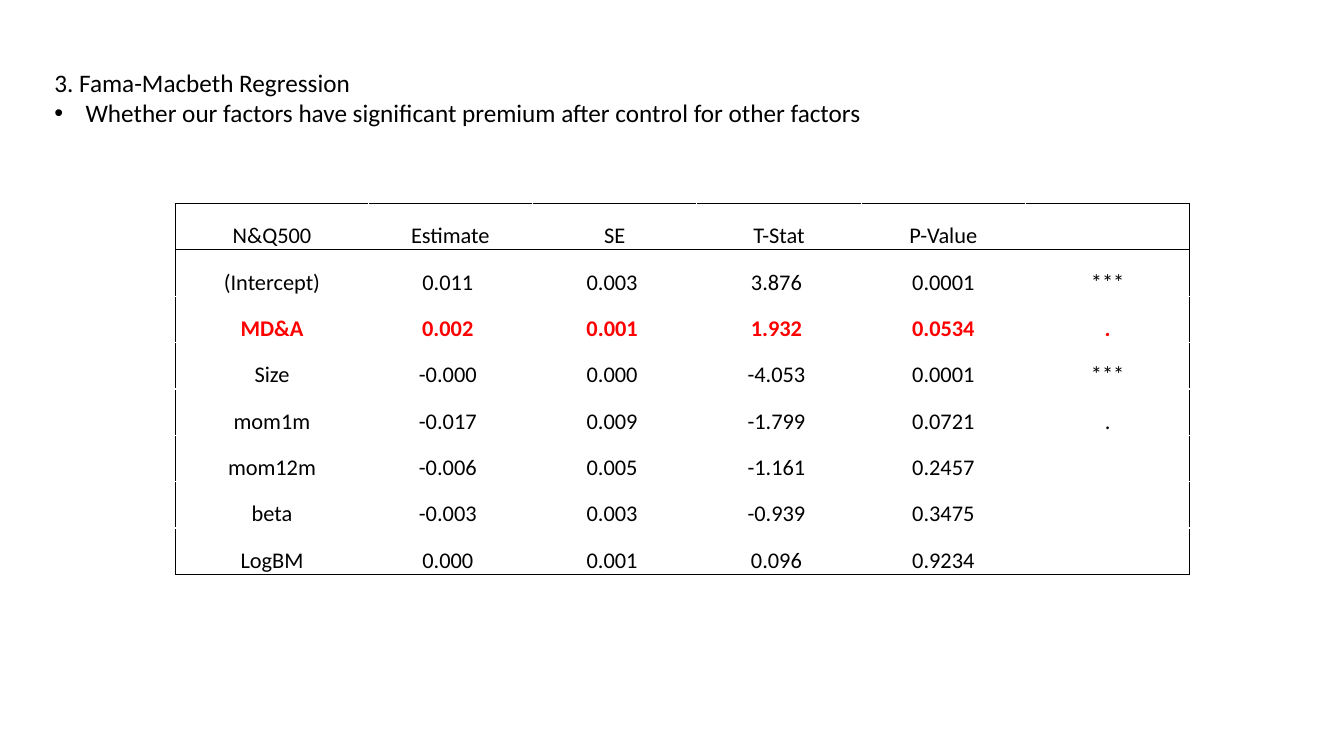
from dataclasses import dataclass

from lxml.etree import SubElement
from pptx import Presentation
from pptx.dml.color import RGBColor
from pptx.enum.text import MSO_ANCHOR as Anchor, PP_ALIGN as Align
from pptx.oxml.ns import qn
from pptx.util import Inches, Pt

BLACK = RGBColor(0x00, 0x00, 0x00)
RED = RGBColor(0xFF, 0x00, 0x00)
WHITE = RGBColor(0xFF, 0xFF, 0xFF)

# Grid units: one value column and one table row
COLUMN = Inches(1.63)
ROW = Inches(0.46)
LABEL_COLUMNS = 1.17


@dataclass
class Area:
    left: float
    top: float
    width: float
    height: float

    def lengths(self) -> tuple[int, int, int, int]:
        return (int(self.left * COLUMN), int(self.top * ROW),
                int(self.width * COLUMN), int(self.height * ROW))


@dataclass
class Factor:
    name: str
    estimate: str
    error: str
    t_stat: str
    p_value: str
    stars: str = ""
    highlighted: bool = False

    def texts(self) -> list[str]:
        # The space after each three-decimal number stands in for a minus sign
        padded = [f"{number} " for number in (self.estimate, self.error, self.t_stat)]
        return [self.name, *padded, self.p_value, self.stars]


HEADERS = ["N&Q500", "Estimate", "SE", "T-Stat", "P-Value", ""]
FACTORS = [
    Factor("(Intercept)", "0.011", "0.003", "3.876", "0.0001", "***"),
    Factor("MD&A", "0.002", "0.001", "1.932", "0.0534", ".", highlighted=True),
    Factor("Size", "-0.000", "0.000", "-4.053", "0.0001", "***"),
    Factor("mom1m", "-0.017", "0.009", "-1.799", "0.0721", "."),
    Factor("mom12m", "-0.006", "0.005", "-1.161", "0.2457"),
    Factor("beta", "-0.003", "0.003", "-0.939", "0.3475"),
    Factor("LogBM", "0.000", "0.001", "0.096", "0.9234"),
]
HEADING_AREA = Area(0.27, 1.35, 5.54, 1.54)
TABLE_AREA = Area(1.07, 4.39, LABEL_COLUMNS + len(HEADERS) - 1, len(FACTORS) + 1)


def set_font(para, size: int, color: RGBColor = BLACK, bold: bool = False) -> None:
    para.font.name = "Calibri"
    para.font.size = Pt(size)
    para.font.bold = bold
    para.font.color.rgb = color


def add_bullet(para) -> None:
    properties = para._p.get_or_add_pPr()
    properties.set("marL", str(Inches(0.31)))
    properties.set("indent", str(-Inches(0.31)))
    font = properties.makeelement(qn("a:buFont"), {"typeface": "Arial"})
    mark = properties.makeelement(qn("a:buChar"), {"char": "•"})
    properties.insert(0, font)
    properties.insert(1, mark)


def add_heading(page) -> None:
    frame = page.shapes.add_textbox(*HEADING_AREA.lengths()).text_frame
    frame.word_wrap = True
    title, question = frame.paragraphs[0], frame.add_paragraph()
    title.text = "3. Fama-Macbeth Regression"
    question.text = "Whether our factors have significant premium after control for other factors"
    for para in (title, question):
        set_font(para, 18)
    add_bullet(question)


def set_borders(cell, black_sides: dict[str, bool]) -> None:
    properties = cell._tc.get_or_add_tcPr()
    for side, is_black in black_sides.items():
        line = SubElement(properties, qn(f"a:ln{side}"), w=str(Pt(1)))
        fill = SubElement(line, qn("a:solidFill"))
        SubElement(fill, qn("a:srgbClr"), val=str(BLACK if is_black else WHITE))


def fill_cell(cell, text: str, highlighted: bool) -> None:
    cell.fill.background()
    cell.vertical_anchor = Anchor.BOTTOM
    cell.margin_left = cell.margin_right = cell.margin_top = Inches(0.01)
    cell.margin_bottom = 0
    para = cell.text_frame.paragraphs[0]
    para.text = text
    para.alignment = Align.CENTER
    set_font(para, 16, RED if highlighted else BLACK, highlighted)


def add_regression_table(page) -> None:
    rows = [HEADERS] + [factor.texts() for factor in FACTORS]
    marked = [False] + [factor.highlighted for factor in FACTORS]
    last_row, last_column = len(rows) - 1, len(HEADERS) - 1
    frame = page.shapes.add_table(len(rows), len(HEADERS), *TABLE_AREA.lengths())
    table = frame.table
    table.first_row = table.horz_banding = False
    # Drop the built-in table style
    properties = table._tbl.tblPr
    properties.remove(properties.find(qn("a:tableStyleId")))

    for index, column in enumerate(table.columns):
        column.width = COLUMN if index else int(LABEL_COLUMNS * COLUMN)
    for row_index, texts in enumerate(rows):
        table.rows[row_index].height = ROW
        for column_index, text in enumerate(texts):
            cell = table.cell(row_index, column_index)
            # Black outer frame and header rule, white lines elsewhere
            set_borders(cell, {
                "L": column_index == 0,
                "R": column_index == last_column,
                "T": row_index <= 1,
                "B": row_index in (0, last_row),
            })
            fill_cell(cell, text, marked[row_index])


def main() -> None:
    deck = Presentation()
    deck.slide_width, deck.slide_height = Inches(13.33), Inches(7.5)
    page = deck.slides.add_slide(deck.slide_layouts[6])
    add_heading(page)
    add_regression_table(page)
    deck.save("out.pptx")


if __name__ == "__main__":
    main()
